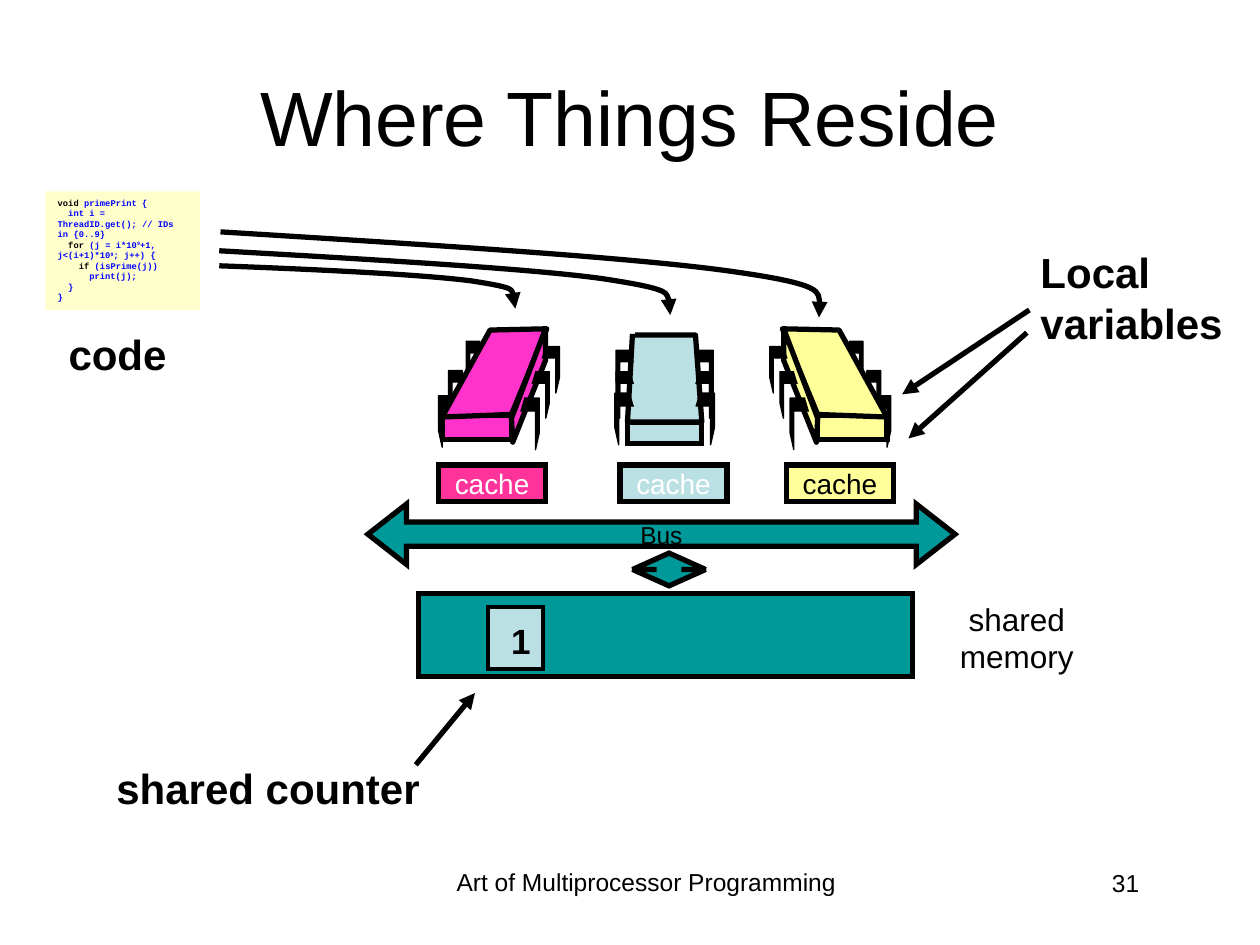
from dataclasses import dataclass

from lxml import etree
from pptx import Presentation, util as u
from pptx.dml.color import RGBColor
from pptx.enum import shapes, text
from pptx.oxml.ns import qn

KIND = shapes.MSO_SHAPE
LEFT, MID, RIGHT = text.PP_ALIGN.LEFT, text.PP_ALIGN.CENTER, text.PP_ALIGN.RIGHT


@dataclass(frozen=True)
class Theme:
    ink: str = "000000"
    white: str = "FFFFFF"
    teal: str = "009999"
    pale: str = "BBE0E3"
    pink: str = "FF33CC"
    rose: str = "FF3399"
    lemon: str = "FFFF99"
    cream: str = "FFFFCC"
    code: str = "0000FF"
    font: str = "Arial"
    mono: str = "Courier New"
    title: int = 44
    label: int = 24
    count: int = 20
    memo: int = 18
    cache: int = 16
    small: int = 14
    tiny: int = 5
    thick: float = 3
    thin: float = 0.75


T = Theme()
AXIS = 10.55  # sum of an x and its mirrored x


def cm(inch):
    return u.Cm(inch * 2.54)


def rgb(code):
    return RGBColor.from_string(code)


def flip(pts):
    """Mirror points across the middle chip."""
    return [(AXIS - x, y) for x, y in pts]


class Board:
    def __init__(self, slide, theme):
        self.slide, self.theme = slide, theme
        self.shapes = slide.shapes

    def style(self, item, fill, width, join="round"):
        item.shadow.inherit = False
        if fill:
            item.fill.solid()
            item.fill.fore_color.rgb = rgb(fill)
        else:
            item.fill.background()
        if width:
            self.pen(item.line, width)
            tag = etree.SubElement(item.line._get_or_add_ln(), qn("a:" + join))
            if join == "miter":
                tag.set("lim", "800000")
        else:
            item.line.fill.background()

    def pen(self, line, width):
        line.color.rgb = rgb(self.theme.ink)
        line.width = u.Pt(width)

    def head(self, line):
        """Put an arrowhead at the end of a line."""
        etree.SubElement(line._get_or_add_ln(), qn("a:tailEnd"), type="triangle")

    def fill_text(self, item, lines, size, align=LEFT, wrap=False, bold=False,
                  font=None, anchor=text.MSO_ANCHOR.TOP):
        """Each line is a list of runs: (words, colour[, baseline])."""
        frame = item.text_frame
        frame.word_wrap = wrap
        frame.vertical_anchor = anchor
        for i, runs in enumerate(lines):
            para = frame.add_paragraph() if i else frame.paragraphs[0]
            para.alignment = align
            for words, ink, *base in runs:
                run = para.add_run()
                run.text = words
                run.font.size, run.font.bold = u.Pt(size), bold
                run.font.name = font or self.theme.font
                run.font.color.rgb = rgb(ink)
                if base:
                    run.font._element.set("baseline", str(base[0]))

    def label(self, box, words, size, align=LEFT, **more):
        item = self.shapes.add_textbox(*map(cm, box))
        lines = [[(line, self.theme.ink)] for line in words.split("\n")]
        self.fill_text(item, lines, size, align, **more)

    def block(self, kind, box, fill, width=T.thick, adj=()):
        item = self.shapes.add_shape(kind, *map(cm, box))
        self.style(item, fill, width, "miter")
        for i, value in enumerate(adj):
            item.adjustments[i] = value
        return item

    def tag(self, kind, box, fill, words, size, ink, adj=()):
        """A block with one centred word."""
        item = self.block(kind, box, fill, adj=adj)
        self.fill_text(item, [[(words, ink)]], size, MID, anchor=text.MSO_ANCHOR.MIDDLE)

    def poly(self, pts, fill, width=T.thick, close=False):
        first, *rest = [(cm(x), cm(y)) for x, y in pts]
        form = self.shapes.build_freeform(*first)
        form.add_line_segments(rest, close=close)
        item = form.convert_to_shape()
        self.style(item, fill, width)
        return item

    def curve(self, pts):
        """Bezier arrow: a start, then three points for each segment."""
        item = self.poly(pts, None)
        route = item._element.find(".//" + qn("a:path"))
        steps = route.findall(qn("a:lnTo"))
        for i in range(0, len(steps), 3):
            bend = etree.SubElement(route, qn("a:cubicBezTo"))
            for step in steps[i:i + 3]:
                bend.append(step[0])
                route.remove(step)
        self.head(item.line)

    def arrow(self, start, end):
        item = self.shapes.add_connector(
            shapes.MSO_CONNECTOR.STRAIGHT, *map(cm, start + end))
        self.pen(item.line, self.theme.thick)
        self.head(item.line)
        etree.SubElement(item._element.spPr, qn("a:effectLst"))

    def leg(self, x, y, big, back):
        """A chip pin; back mirrors it."""
        w, h = (0.15, 0.41) if big else (0.14, 0.37)
        unit = [(0.2, 0), (1, 0), (1, 0.67), (0.8, 1), (0.8, 0.25), (0, 0.25)]
        pts = [(x + a * w, y + b * h) for a, b in unit]
        self.poly(flip(pts) if back else pts, self.theme.ink, self.theme.thin)

    def chip(self, fill, back):
        """A slanted chip, leaning right unless back is set."""
        turn = flip if back else list
        self.block(KIND.RECTANGLE, (6.49 if back else 3.51, 3.3, 0.55, 0.19), fill)
        for x, y, big in ((6.92, 3.14, True), (6.85, 2.94, False), (6.71, 2.71, False)):
            self.leg(x, y, big, not back)
        top = [(3.51, 3.31), (4.06, 3.29), (4.34, 2.61), (3.89, 2.62)]
        side = [(4.33, 2.61), (4.33, 2.86), (4.07, 3.51), (4.06, 3.32)]
        for face in (top, side):
            self.poly(turn(face), fill, close=True)
        for x, y, big in ((4.13, 3.16, True), (4.22, 2.95, False), (4.3, 2.75, False)):
            self.leg(x, y, big, back)


def main():
    deck = Presentation()
    deck.slide_width, deck.slide_height = cm(10), cm(7.5)
    b = Board(deck.slides.add_slide(deck.slide_layouts[6]), T)

    b.label((3.42, 6.83, 3.42, 0.52), "Art of Multiprocessor Programming", T.small, MID, wrap=True)
    b.label((7.06, 6.84, 2.08, 0.5), "31", T.small, RIGHT, wrap=True)
    b.label((0.75, 0.29, 8.5, 1.25), "Where Things Reside", T.title, MID,
            wrap=True, anchor=text.MSO_ANCHOR.MIDDLE)

    b.block(KIND.RECTANGLE, (4.98, 3.35, 0.59, 0.17), T.pale)
    b.poly([(5.04, 2.66), (5.52, 2.66), (5.57, 3.35), (4.98, 3.35), (5.02, 2.65)], T.pale)
    for back in (False, True):
        for y, big in ((3.12, True), (2.95, False), (2.78, False)):
            b.leg(5.52, y, big, back)
    b.chip(T.pink, False)
    b.chip(T.lemon, True)

    b.tag(KIND.LEFT_RIGHT_ARROW, (2.92, 4, 4.66, 0.48), T.teal, "Bus", T.small, T.ink,
          (0.4, 0.64))
    b.block(KIND.RECTANGLE, (3.32, 4.71, 3.92, 0.66), T.teal)
    b.block(KIND.UP_DOWN_ARROW, (5.02, 4.39, 0.58, 0.26), T.teal, adj=(0.5, 0.34))
    for x, fill, ink in ((3.48, T.rose, T.white), (4.92, T.pale, T.white), (6.24, T.lemon, T.ink)):
        b.tag(KIND.RECTANGLE, (x, 3.69, 0.85, 0.29), fill, "cache", T.cache, ink)

    b.block(KIND.RECTANGLE, (3.87, 4.82, 0.44, 0.49), T.pale, 2.25)
    b.label((3.94, 4.87, 0.37, 0.43), "1", T.count, RIGHT, bold=True)
    b.label((0.81, 6, 2.62, 0.5), "shared counter", T.label, RIGHT, bold=True)
    b.label((7.51, 4.71, 1.11, 0.7), "shared \nmemory", T.memo, RIGHT)
    b.label((0.43, 2.56, 0.99, 0.51), "code", T.label, RIGHT, bold=True)
    b.label((8.16, 1.91, 1.66, 0.91), "Local\nvariables", T.label, bold=True)

    note = b.block(KIND.RECTANGLE, (0.36, 1.52, 1.23, 0.94), T.cream, 0)
    power = ("9", T.code, 30000)
    b.fill_text(note, [
        [("void", T.ink), (" primePrint {", T.code)],
        [("  int i = ThreadID.get(); // IDs in {0..9}", T.code)],
        [("  for ", T.ink), ("(j = i*10", T.code), power,
         ("+1, j<(i+1)*10", T.code), power, ("; j++) {", T.code)],
        [("    if ", T.ink), ("(isPrime(j))", T.code)],
        [("      print(j);", T.code)],
        [("  }", T.code)],
        [("}", T.code)],
    ], T.tiny, wrap=True, bold=True, font=T.mono)

    for pts in (
        [(1.74, 1.99), (2.96, 2.06), (4.18, 2.13), (4.77, 2.21), (5.37, 2.3), (5.34, 2.4), (5.32, 2.5)],
        [(1.75, 1.84), (3.36, 1.94), (4.98, 2.04), (5.78, 2.15), (6.57, 2.26), (6.53, 2.39), (6.5, 2.52)],
        [(1.74, 2.11), (2.55, 2.14), (3.35, 2.18), (3.74, 2.23), (4.13, 2.29), (4.11, 2.37), (4.09, 2.45)],
    ):
        b.curve(pts)
    for start, end in (((3.3, 6.07), (3.77, 5.5)), ((8.17, 2.46), (7.16, 3.13)),
                       ((8.15, 2.64), (7.21, 3.48))):
        b.arrow(start, end)

    deck.save("out.pptx")


if __name__ == "__main__":
    main()
